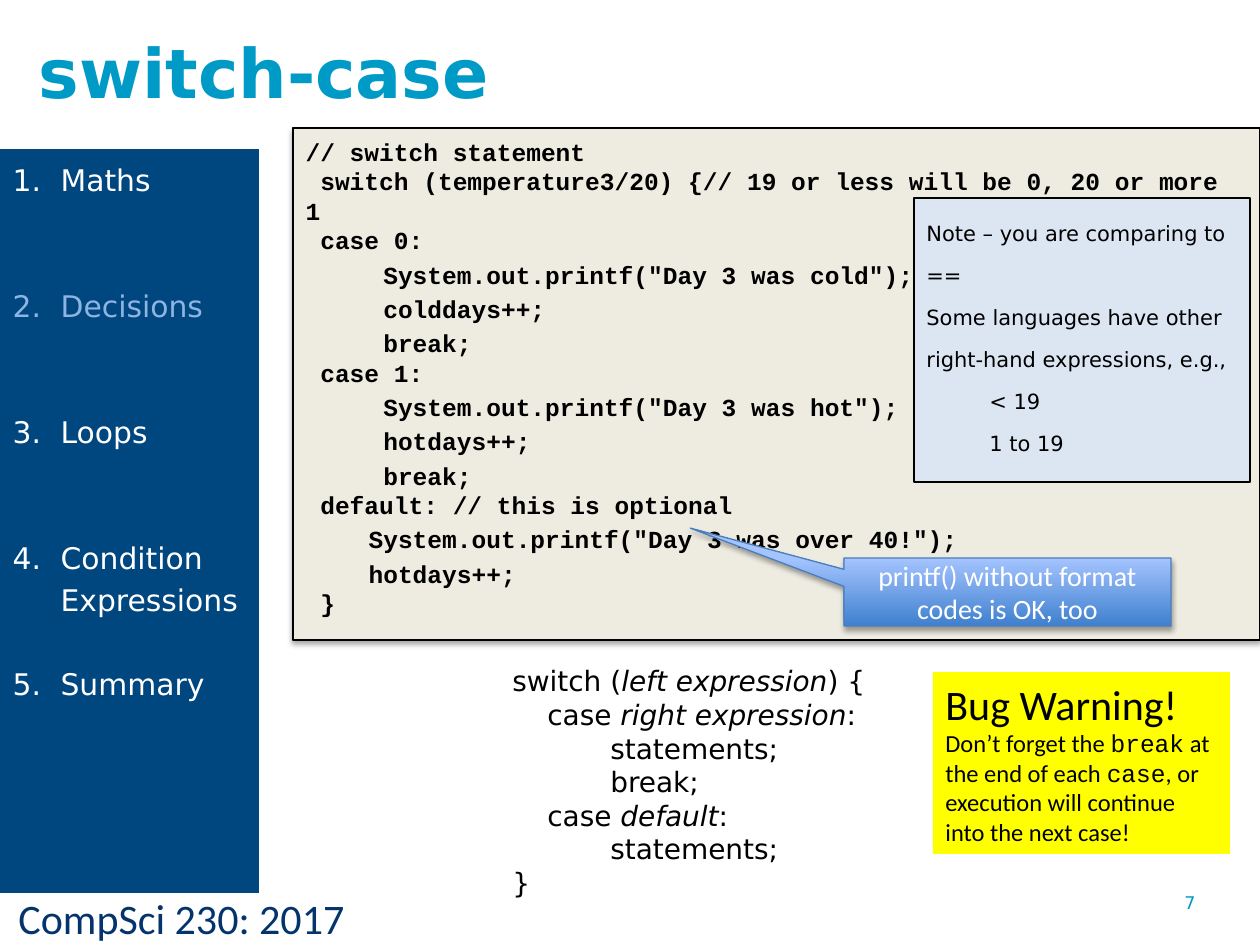
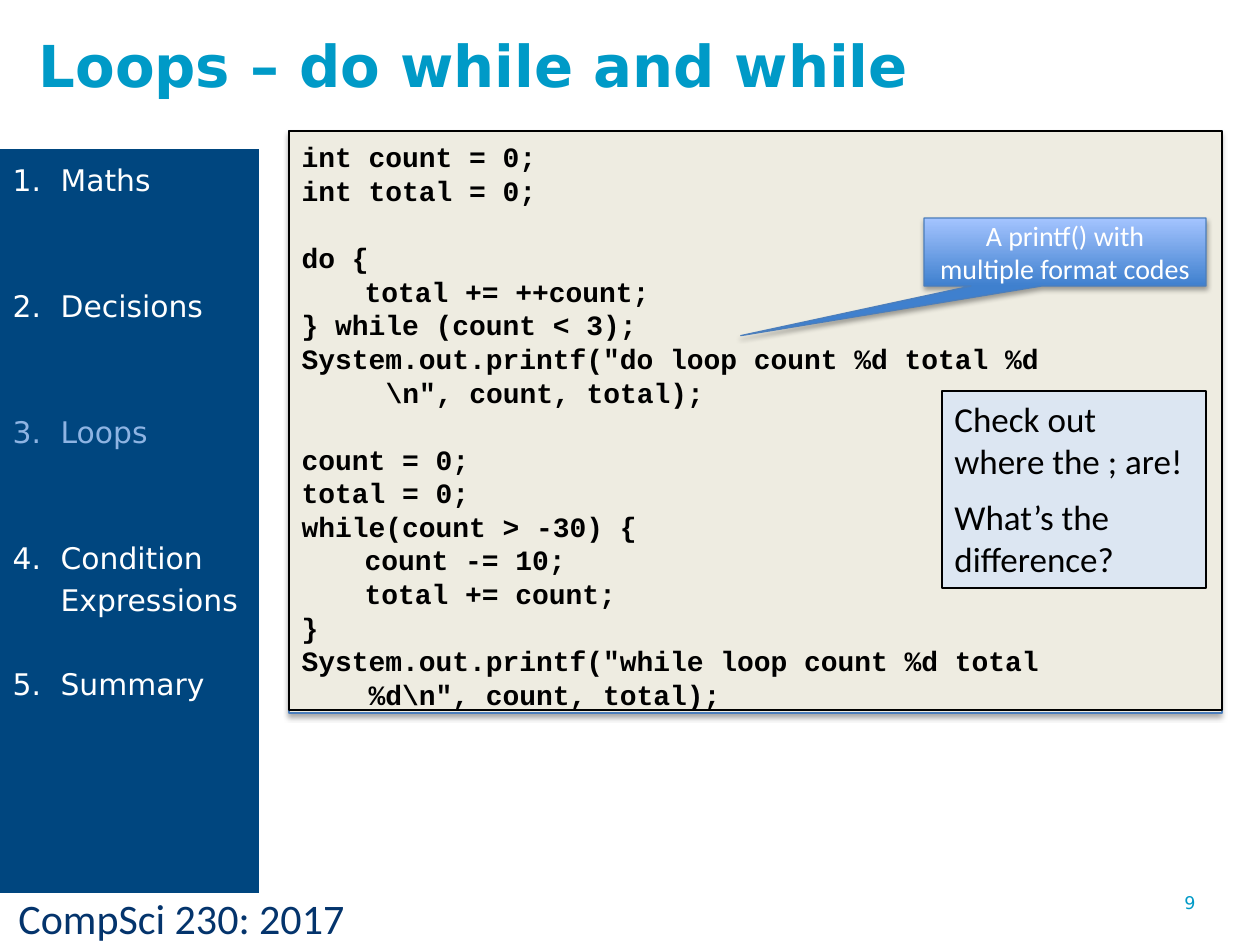
from pptx import Presentation
from pptx.dml.color import RGBColor
from pptx.enum.shapes import MSO_SHAPE
from pptx.enum.text import MSO_ANCHOR, MSO_AUTO_SIZE, PP_ALIGN
from pptx.oxml import parse_xml
from pptx.oxml.ns import nsdecls, qn
from pptx.util import Emu, Inches, Pt

RECT, CALLOUT = MSO_SHAPE.RECTANGLE, MSO_SHAPE.RECTANGULAR_CALLOUT
TOP, MIDDLE = MSO_ANCHOR.TOP, MSO_ANCHOR.MIDDLE
LEFT, CENTER = PP_ALIGN.LEFT, PP_ALIGN.CENTER
NO_FIT = MSO_AUTO_SIZE.NONE
TWO_CONTENT = 3
SANS, CALIBRI, MONO = "DejaVu Sans", "Calibri", "Courier New"
BLACK, WHITE, TEAL, NAVY = "000000", "FFFFFF", "009AC7", "04346C"
BAND, CURRENT, PANEL, EDGE = "00467F", "8EB4E3", "EEECE1", "4B7EBC"
NOTE, WARNING, DARK_BLUE, LIGHT_BLUE = "DCE6F2", "FFFF00", "3F80CE", "A4C4FF"
TAB = 63
TOPICS = ["Maths", "Decisions", "Loops", "Condition Expressions", "Summary"]
TOPIC_GAPS = [0, 48, 48, 48, 24]

SWITCH_CODE = [
    (0, "// switch statement"),
    (0, " switch (temperature3/20) {// 19 or less will be 0, 20 or more 1"),
    (0, " case 0:"),
    (1, ' System.out.printf("Day 3 was cold");'),
    (1, " colddays++;"),
    (1, " break;"),
    (0, " case 1:"),
    (1, ' System.out.printf("Day 3 was hot");'),
    (1, " hotdays++;"),
    (1, " break;"),
    (0, " default: // this is optional"),
    (1, 'System.out.printf("Day 3 was over 40!");'),
    (1, "hotdays++;"),
    (0, " }"),
]
BLANK_LINE = {"before": 19.2}
LOOP_CODE = [
    ("int count = 0;", {}),
    ("int total = 0;", {}),
    ("do {", BLANK_LINE),
    ("total += ++count;", {"left": TAB}),
    ("} while (count < 3);", {}),
    (['System.out.printf("do loop count %d total %d', "\n",
      '\\n", count, total);'], {"left": 84, "hang": 84}),
    ("count = 0;", BLANK_LINE),
    ("total = 0;", {}),
    ("while(count > -30) {", {}),
    ("count -= 10;", {"left": TAB}),
    ("total += count;", {"left": TAB}),
    ("}", {}),
    (['System.out.printf("while loop count %d total', "\n",
      '%d\\n", count, total);'], {"left": 67, "hang": 67}),
]


def px(n):
    """Turn picture pixels into EMU."""
    return Emu(round(n * Inches(1) / 126))


def rgb(color):
    """Turn a hex string into a colour."""
    return RGBColor.from_string(color)


def place(sp, box):
    """Move and size a shape in pixels."""
    for name, n in zip(("left", "top", "width", "height"), box):
        setattr(sp, name, px(n))


def style_font(font, size, color, **fmt):
    """Apply size, colour and other font values."""
    font.size, font.color.rgb = Pt(size), rgb(color)
    for name, value in fmt.items():
        setattr(font, name, value)


def format_paragraph(p, left=0, hang=0, before=0, lines=None, align=LEFT,
                     number=False):
    """Set the indent, spacing, alignment and numbering of a paragraph."""
    values = {"alignment": align, "space_before": Pt(before)}
    if lines:
        values["line_spacing"] = Pt(lines)
    for name, value in values.items():
        setattr(p, name, value)
    pPr = p._p.get_or_add_pPr()
    pPr.set("marL", str(px(left)))
    pPr.set("indent", str(-px(hang)))
    bullet = 'buAutoNum %s type="arabicPeriod"' if number else "buNone %s"
    pPr.append(parse_xml(f"<a:{bullet % nsdecls('a')}/>"))


def write(sp, paragraphs, font, anchor=TOP, margin_top=6, **shared):
    """Fill a shape with (runs, paragraph format) pairs."""
    tf = sp.text_frame
    values = {"word_wrap": True, "auto_size": NO_FIT,
              "vertical_anchor": anchor, "margin_top": px(margin_top)}
    for name, value in values.items():
        setattr(tf, name, value)
    for i, (runs, fmt) in enumerate(paragraphs):
        p = tf.paragraphs[0] if i == 0 else tf.add_paragraph()
        format_paragraph(p, **{**shared, **fmt})
        for run in [runs] if isinstance(runs, str) else runs:
            text, extra = (run, {}) if isinstance(run, str) else run
            if text == "\n":
                p.add_line_break()
                continue
            r = p.add_run()
            r.text = text
            style_font(r.font, **{**font, **extra})


def font_of(name, size, color=BLACK, **extra):
    """Collect the values of a font."""
    return {"name": name, "size": size, "color": color, **extra}


def outline(sp, color):
    """Draw a thin outline."""
    sp.line.color.rgb, sp.line.width = rgb(color), Pt(0.75)


def add_box(slide, box, fill=None, line=None, kind=RECT):
    """Add a shape with a plain fill and no shadow."""
    sp = slide.shapes.add_shape(kind, *map(px, box))
    sp.shadow.inherit = False
    if fill:
        sp.fill.solid()
        sp.fill.fore_color.rgb = rgb(fill)
    if line:
        outline(sp, line)
    else:
        sp.line.fill.background()
    return sp


def add_shadow(sp):
    """Give a shape a soft shadow below it."""
    sp.element.spPr.find(qn("a:effectLst")).append(parse_xml(
        f'<a:outerShdw {nsdecls("a")} blurRad="{Pt(3.1)}" dist="{Pt(1.8)}" '
        'dir="5400000" rotWithShape="0"><a:srgbClr val="000000">'
        '<a:alpha val="35000"/></a:srgbClr></a:outerShdw>'))


def add_text(slide, box, paragraphs, font, **fmt):
    """Add a text box."""
    write(slide.shapes.add_textbox(*map(px, box)), paragraphs, font, **fmt)


def add_callout(slide, box, text, tip):
    """Add a gradient callout that points at the code."""
    sp = add_box(slide, box, line=EDGE, kind=CALLOUT)
    sp.adjustments[0], sp.adjustments[1] = tip
    sp.fill.gradient()
    sp.fill.gradient_angle = 90
    for stop, color in zip(sp.fill.gradient_stops, (DARK_BLUE, LIGHT_BLUE)):
        stop.color.rgb = rgb(color)
    add_shadow(sp)
    write(sp, [(text, {})], font_of(CALIBRI, 16, WHITE), MIDDLE, align=CENTER)


def add_code(slide, sp, box, panel_height, paragraphs, size):
    """Set the code placeholder on a shaded panel."""
    panel = add_box(slide, (*box[:3], panel_height), PANEL, EDGE)
    add_shadow(panel)
    slide.shapes.element.insert(2, panel.element)
    place(sp, box)
    outline(sp, BLACK)
    write(sp, paragraphs, font_of(MONO, size, bold=True), margin_top=9,
          lines=1.2 * size)


def add_outline(sp, current):
    """Set the numbered topics with the current one dimmed."""
    place(sp, (0, 149, 259, 744))
    sp.fill.solid()
    sp.fill.fore_color.rgb = rgb(BAND)
    topics = [([(topic, {"color": CURRENT if topic == current else WHITE})],
               {"before": gap}) for topic, gap in zip(TOPICS, TOPIC_GAPS)]
    write(sp, topics, font_of(SANS, 17), left=48, hang=48, lines=24,
          number=True)


def add_lecture_slide(prs, title, title_size, current, number):
    """Add a slide with title, topics, footer and number."""
    slide = prs.slides.add_slide(prs.slide_layouts[TWO_CONTENT])
    heading, code, topics = slide.placeholders
    place(heading, (26, 18, 1106, 98))
    write(heading, [(title, {})], font_of(SANS, title_size, TEAL, bold=True),
          margin_top=12)
    add_outline(topics, current)
    add_text(slide, (6, 887, 511, 63), [("CompSci 230: 2017", {})],
             font_of(CALIBRI, 24, NAVY))
    add_text(slide, (1172, 886, 88, 66), [(number, {})],
             font_of(SANS, 10, TEAL))
    return slide, code


def build_switch(prs):
    """Build the switch-case slide."""
    slide, code = add_lecture_slide(prs, "switch-case", 39, "Decisions", "7")
    lines = [(text, {"left": TAB * level, "before": 2.8 * level})
             for level, text in SWITCH_CODE]
    add_code(slide, code, (293, 128, 967, 512), 512, lines, 14)
    italic = {"italic": True}
    case, body = {"left": 35}, {"left": TAB + 35}
    add_text(slide, (500, 658, 394, 263), [
        (["switch (", ("left expression", italic), ") {"], {}),
        (["case ", ("right expression", italic), ":"], case),
        ("statements;", body),
        ("break;", body),
        (["case ", ("default", italic), ":"], case),
        ("statements;", body),
        ("}", {}),
    ], font_of(SANS, 16), lines=19.2)
    write(add_box(slide, (914, 198, 336, 284), NOTE, BLACK), [
        ("Note – you are comparing to ==", {}),
        ("Some languages have other right-hand expressions, e.g.,", {}),
        ("< 19", {"left": TAB}),
        ("1 to 19", {"left": TAB}),
    ], font_of(SANS, 12), lines=24)
    mono = {"name": MONO}
    write(add_box(slide, (933, 672, 297, 182), WARNING), [
        ([("Bug Warning!", {"size": 24})], {}),
        (["Don’t forget the ", ("break", mono), " at the end of each ",
          ("case", mono),
          ", or execution will continue into the next case!"], {}),
    ], font_of(CALIBRI, 14))
    add_callout(slide, (844, 558, 327, 68),
                "printf() without format codes is OK, too", (-0.97, -0.94))


def build_loops(prs):
    """Build the do while and while slide."""
    slide, code = add_lecture_slide(prs, "Loops – do while and while", 33,
                                    "Loops", "9")
    add_code(slide, code, (289, 131, 933, 579), 582, LOOP_CODE, 16)
    write(add_box(slide, (942, 391, 264, 197), NOTE, BLACK), [
        ("Check out where the ; are!", {}),
        ("What’s the difference?", {"before": 8.5}),
    ], font_of(CALIBRI, 20))
    add_callout(slide, (924, 218, 282, 68),
                "A printf() with multiple format codes", (-1.15, 1.23))


def main():
    """Build and save the presentation."""
    prs = Presentation()
    prs.slide_width, prs.slide_height = Inches(10), Inches(7.5)
    build_switch(prs)
    build_loops(prs)
    prs.save("out.pptx")


main()
